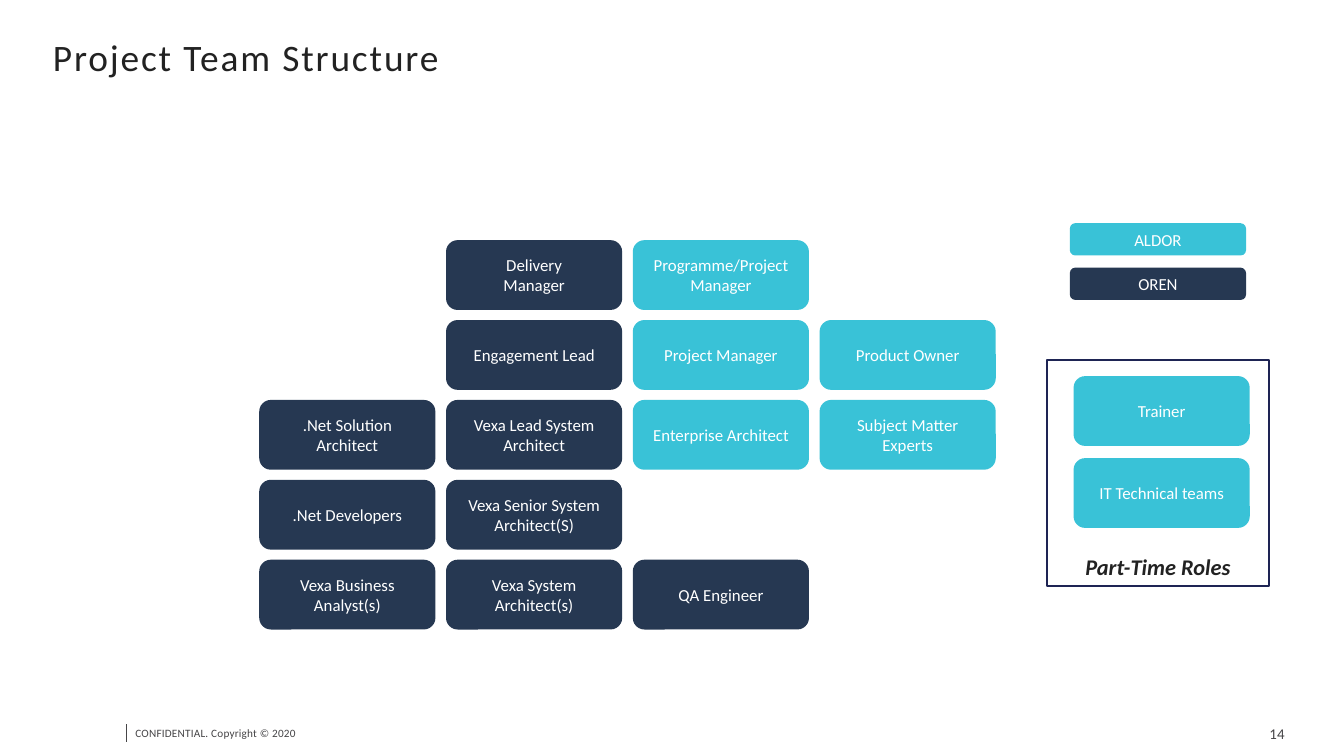
"""Build the project team structure slide."""
from dataclasses import dataclass

from lxml import etree
from pptx import Presentation
from pptx.dml.color import RGBColor
from pptx.enum import shapes, text
from pptx.oxml import ns
from pptx.util import Cm, Pt


@dataclass(frozen=True)
class Theme:
    """Hold the colours and type sizes of the slide."""

    font: str = "Calibri"
    client: str = "39C2D7"
    vendor: str = "263852"
    white: str = "FFFFFF"
    ink: str = "222222"
    footer: str = "464547"
    frame: str = "1E2454"
    title_size: float = 20
    group_size: float = 12
    role_size: float = 9
    number_size: float = 8
    footer_size: float = 6


THEME = Theme()
ROLE_WIDTH, ROLE_HEIGHT, KEY_HEIGHT = 3.33, 1.32, 0.61
GRID_LEFT, GRID_TOP, COLUMN_STEP, ROW_STEP = 4.9, 4.54, 3.53, 1.51
ROLES = [
    (1, 0, "Delivery\nManager", THEME.vendor),
    (2, 0, "Programme/Project Manager", THEME.client),
    (1, 1, "Engagement Lead", THEME.vendor),
    (2, 1, "Project Manager", THEME.client),
    (3, 1, "Product Owner", THEME.client),
    (0, 2, ".Net Solution Architect", THEME.vendor),
    (1, 2, "Vexa Lead System Architect", THEME.vendor),
    (2, 2, "Enterprise Architect", THEME.client),
    (3, 2, "Subject Matter Experts", THEME.client),
    (0, 3, ".Net Developers", THEME.vendor),
    (1, 3, "Vexa Senior System Architect(S)", THEME.vendor),
    (0, 4, "Vexa Business Analyst(s)", THEME.vendor),
    (1, 4, "Vexa System Architect(s)", THEME.vendor),
    (2, 4, "QA Engineer", THEME.vendor),
]
KEYS = [("ALDOR", THEME.client), ("OREN", THEME.vendor)]
PART_TIME_ROLES = ["Trainer", "IT Technical teams"]


def colour(value):
    """Turn a hex value into a colour."""
    return RGBColor.from_string(value)


def write(frame, words, size, ink, align, anchor, spacing=0, strong=False):
    """Fill a text frame and format all of its runs."""
    frame.text = words
    frame.word_wrap = True
    frame.vertical_anchor = anchor
    for para in frame.paragraphs:
        para.alignment = align
        for span in para.runs:
            span.font.name = THEME.font
            span.font.size = Pt(size)
            span.font.bold = span.font.italic = strong
            span.font.color.rgb = colour(ink)
            span.font._element.set("spc", str(spacing))


def add_block(page, kind, left, top, width, height, fill):
    """Add a filled shape without line or shadow."""
    block = page.shapes.add_shape(kind, Cm(left), Cm(top), Cm(width), Cm(height))
    block.shadow.inherit = False
    block.fill.solid()
    block.fill.fore_color.rgb = colour(fill)
    block.line.fill.background()
    return block


def add_role(page, left, top, words, fill, height=ROLE_HEIGHT):
    """Add a rounded box with a centred label."""
    box = add_block(page, shapes.MSO_SHAPE.ROUNDED_RECTANGLE, left, top, ROLE_WIDTH, height, fill)
    write(box.text_frame, words, THEME.role_size, THEME.white,
          text.PP_ALIGN.CENTER, text.MSO_ANCHOR.MIDDLE)


def add_title(page, words):
    """Place and format the title."""
    title = page.shapes.title
    title.left, title.top, title.width, title.height = Cm(1), Cm(0.64), Cm(23.42), Cm(0.86)
    frame = title.text_frame
    frame.margin_left = frame.margin_right = frame.margin_top = frame.margin_bottom = 0
    write(frame, words, THEME.title_size, THEME.ink,
          text.PP_ALIGN.LEFT, text.MSO_ANCHOR.TOP, spacing=100)
    frame.auto_size = text.MSO_AUTO_SIZE.SHAPE_TO_FIT_TEXT


def add_footer_text(page, left, width, words, size, align):
    """Add one small text to the footer."""
    box = page.shapes.add_textbox(Cm(left), Cm(13.61), Cm(width), Cm(0.51))
    frame = box.text_frame
    frame.margin_left = frame.margin_right = Cm(0.18)
    frame.margin_top = frame.margin_bottom = Cm(0.1)
    write(frame, words, size, THEME.footer, align, text.MSO_ANCHOR.MIDDLE, spacing=10)


def add_footer_rule(page):
    """Add the thin upright line of the footer."""
    rule = page.shapes.add_connector(
        shapes.MSO_CONNECTOR.STRAIGHT, Cm(2.38), Cm(13.69), Cm(2.38), Cm(14.02))
    rule.line.color.rgb = colour(THEME.footer)
    rule.line.width = Pt(0.25)
    etree.SubElement(rule._element.spPr, ns.qn("a:effectLst"))


def add_part_time_group(page):
    """Add the framed group of part-time roles."""
    frame = add_block(page, shapes.MSO_SHAPE.RECTANGLE, 19.79, 6.81, 4.19, 4.27, THEME.white)
    frame.line.color.rgb = colour(THEME.frame)
    frame.line.width = Pt(1)
    write(frame.text_frame, "Part-Time Roles", THEME.group_size, THEME.ink,
          text.PP_ALIGN.CENTER, text.MSO_ANCHOR.BOTTOM, strong=True)
    for row, words in enumerate(PART_TIME_ROLES):
        add_role(page, 20.29, 7.11 + row * 1.55, words, THEME.client)


def main():
    """Build and save the deck."""
    deck = Presentation()
    deck.slide_width, deck.slide_height = Cm(25.4), Cm(14.29)
    page = deck.slides.add_slide(deck.slide_layouts[5])
    add_title(page, "Project Team Structure")
    for column, row, words, fill in ROLES:
        add_role(page, GRID_LEFT + column * COLUMN_STEP, GRID_TOP + row * ROW_STEP, words, fill)
    for row, (words, fill) in enumerate(KEYS):
        add_role(page, 20.22, 4.22 + row * 0.84, words, fill, KEY_HEIGHT)
    add_part_time_group(page)
    add_footer_rule(page)
    add_footer_text(page, 2.38, 3.68, "CONFIDENTIAL. Copyright © 2020",
                    THEME.footer_size, text.PP_ALIGN.LEFT)
    add_footer_text(page, 20.37, 4.09, "14", THEME.number_size, text.PP_ALIGN.RIGHT)
    deck.save("out.pptx")


if __name__ == "__main__":
    main()
